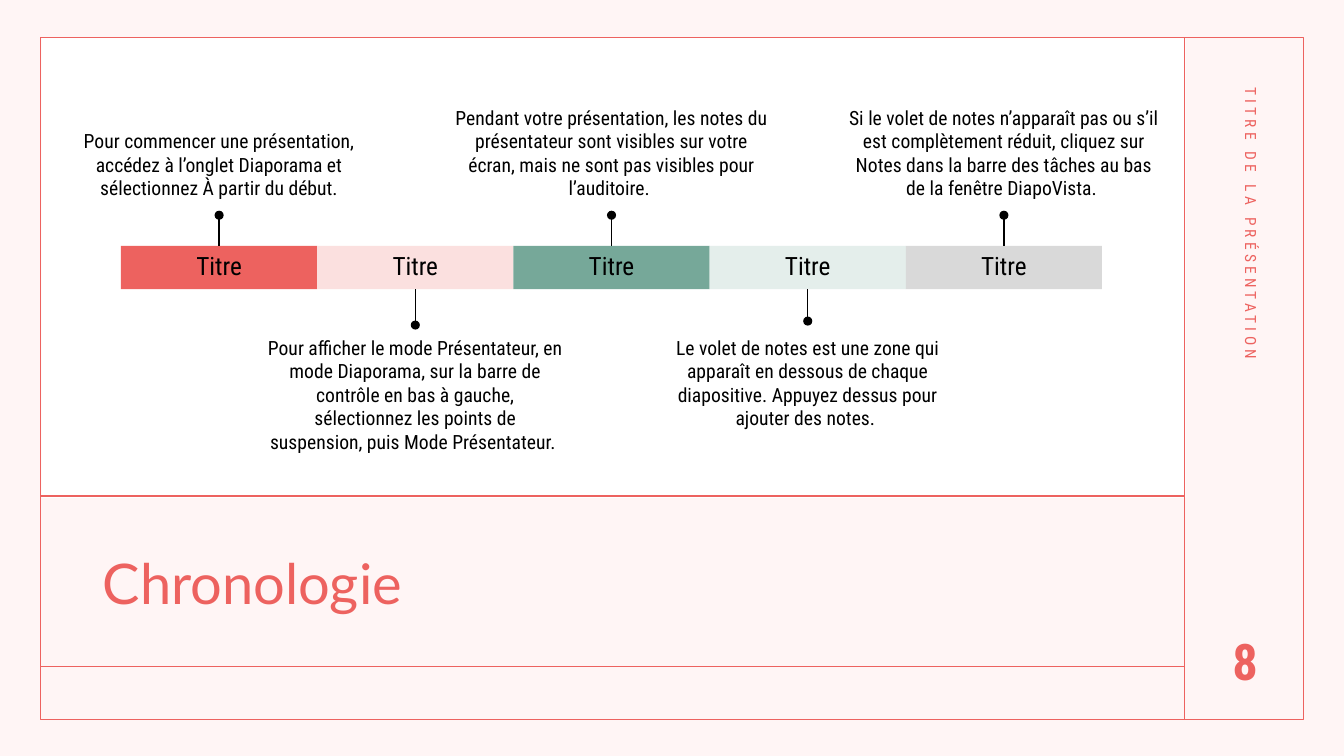
from pptx import Presentation
from pptx.dml.color import RGBColor
from pptx.enum.shapes import MSO_CONNECTOR, MSO_SHAPE
from pptx.enum.text import MSO_ANCHOR, PP_ALIGN
from pptx.oxml.ns import qn
from pptx.util import Inches, Pt
from lxml.etree import SubElement

COLORS = {
    "background": "FFF5F5",
    "white": "FFFFFF",
    "black": "000000",
    "coral": "ED625F",
    "light coral": "FBE0DF",
    "green": "76A899",
    "light green": "E4EEEB",
    "grey": "D9D9D9",
}


def add_text(text, at, size, color="black", font="Roboto Condensed", bold=False,
             align=PP_ALIGN.CENTER, anchor=MSO_ANCHOR.TOP, margins=(0.1, 0.05),
             line_spacing=1.0, rotation=0, tracking=0):
    box = page.shapes.add_textbox(*map(Inches, at))
    box.rotation = rotation
    frame = box.text_frame
    frame.word_wrap = True
    frame.vertical_anchor = anchor
    frame.margin_left = frame.margin_right = Inches(margins[0])
    frame.margin_top = frame.margin_bottom = Inches(margins[1])
    para = frame.paragraphs[0]
    para.alignment = align
    para.line_spacing = line_spacing
    span = para.add_run()
    span.text = text
    span.font.name = font
    span.font.size = Pt(size)
    span.font.bold = bold
    span.font.color.rgb = RGBColor.from_string(COLORS[color])
    if tracking:
        span._r.get_or_add_rPr().set("spc", str(tracking * 100))


def add_drawing(at, preset=None, fill=None, line=None):
    if preset is None:
        shape = page.shapes.add_connector(MSO_CONNECTOR.STRAIGHT, *map(Inches, at))
    else:
        shape = page.shapes.add_shape(preset, *map(Inches, at))
        if fill:
            shape.fill.solid()
            shape.fill.fore_color.rgb = RGBColor.from_string(COLORS[fill])
        else:
            shape.fill.background()
    if line:
        shape.line.color.rgb = RGBColor.from_string(COLORS[line])
        shape.line.width = Pt(1)
    else:
        shape.line.fill.background()
    if preset is None:
        SubElement(shape._element.spPr, qn("a:effectLst"))
    else:
        shape.shadow.inherit = False


deck = Presentation()
deck.slide_width = Inches(13.33)
deck.slide_height = Inches(7.5)
page = deck.slides.add_slide(deck.slide_layouts[6])
page.background.fill.solid()
page.background.fill.fore_color.rgb = RGBColor.from_string(COLORS["background"])

add_drawing((0.41, 0.37, 11.35, 4.57), MSO_SHAPE.RECTANGLE, fill="white")
for divider in [(11.75, 0.37, 11.75, 7.13), (0.41, 4.92, 11.75, 4.92), (0.41, 6.61, 11.75, 6.61)]:
    add_drawing(divider, line="coral")
add_drawing((0.4, 0.37, 12.53, 6.77), MSO_SHAPE.RECTANGLE, line="coral")

add_text("Chronologie", (0.92, 5.25, 10.31, 1.14), 40, color="coral", font="Lato",
         align=PP_ALIGN.LEFT, anchor=MSO_ANCHOR.MIDDLE, line_spacing=0.9)

steps = [
    ("coral", 3.24, 2.09, "Pour commencer une présentation, accédez à l’onglet Diaporama "
     "et sélectionnez À partir du début."),
    ("light coral", 3.06, 3.18, "Pour afficher le mode Présentateur, en mode Diaporama, sur la barre "
     "de contrôle en bas à gauche, sélectionnez les points de suspension, puis Mode Présentateur. "),
    ("green", 3.24, 2.09, "Pendant votre présentation, les notes du présentateur sont visibles "
     "sur votre écran, mais ne sont pas visibles pour l’auditoire. "),
    ("light green", 3.24, 3.14, "Le volet de notes est une zone qui apparaît en dessous de chaque "
     "diapositive. Appuyez dessus pour ajouter des notes. "),
    ("grey", 3.24, 2.09, "Si le volet de notes n’apparaît pas ou s’il est complètement réduit, cliquez "
     "sur Notes dans la barre des tâches au bas de la fenêtre DiapoVista. "),
]
bar_left, bar_top, bar_height, step_width = 1.2, 2.44, 0.43, 1.946
dot_size = 0.09

for index, (color, note_width, dot_top, note) in enumerate(steps):
    left = bar_left + index * step_width
    center = left + step_width / 2
    bar = (left, bar_top, step_width, bar_height)
    above = index % 2 == 0
    stem_end = bar_top if above else bar_top + bar_height

    add_drawing(bar, MSO_SHAPE.RECTANGLE, fill=color)
    add_text("Titre", bar, 18, anchor=MSO_ANCHOR.MIDDLE, margins=(0.03, 0), line_spacing=0.9)
    add_text(note, (center - note_width / 2, 0.5 if above else 3.3, note_width, 1.51), 14,
             anchor=MSO_ANCHOR.BOTTOM if above else MSO_ANCHOR.TOP, margins=(0.06, 0.03))
    add_drawing((center, dot_top + dot_size / 2, center, stem_end), line="black")
    add_drawing((center - dot_size / 2, dot_top, dot_size, dot_size), MSO_SHAPE.OVAL, fill="black")

add_text("TITRE DE LA PRÉSENTATION", (10.1, 2.82, 4.5, 0.4), 11, color="coral",
         align=PP_ALIGN.LEFT, rotation=90, tracking=3)
add_text("8", (11.83, 6.2, 1.04, 0.83), 36, color="coral", bold=True)

deck.save("out.pptx")
